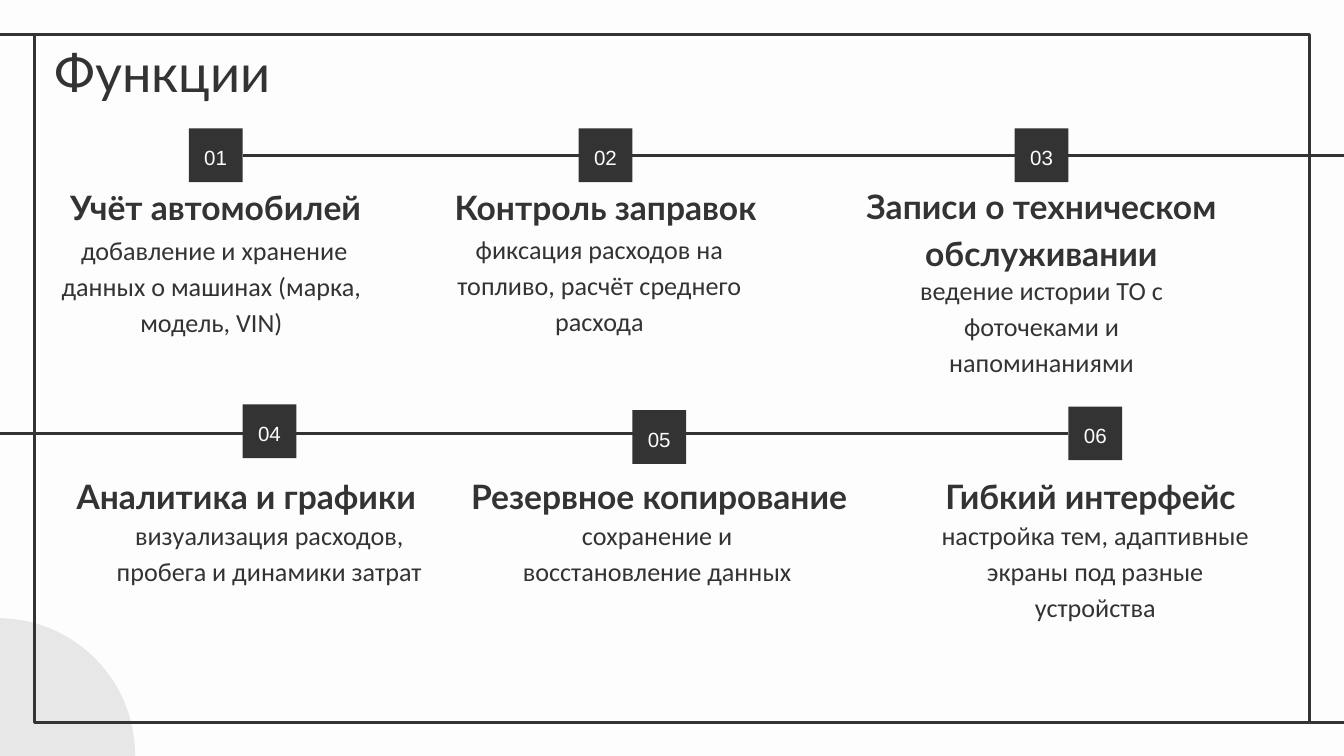
from lxml import etree
from pptx import Presentation
from pptx.dml.color import RGBColor
from pptx.enum import shapes, text
from pptx.oxml.ns import qn
from pptx.util import Inches, Pt

hues = {"paper": "FDFDFD", "ink": "333333", "disc": "E8E7E7"}
ink, paper, disc = (RGBColor.from_string(hues[k]) for k in ("ink", "paper", "disc"))

deck = Presentation()
deck.slide_width = Inches(10)
deck.slide_height = deck.slide_width * 9 // 16
unit = deck.slide_width / 100


def grid(*cells):
    return [round(c * unit) for c in cells]


def write(shape, words, font, size, hue, bold=False, anchor="TOP", lead=1.15):
    frame = shape.text_frame
    frame.text = words
    frame.word_wrap = True
    frame.auto_size = text.MSO_AUTO_SIZE.NONE
    frame.vertical_anchor = text.MSO_ANCHOR[anchor]
    frame.margin_left, frame.margin_top, frame.margin_right, frame.margin_bottom = grid(1, 1, 1, 1)
    para = frame.paragraphs[0]
    para.alignment = text.PP_ALIGN.CENTER
    para.line_spacing = lead
    para.font.name, para.font.size, para.font.bold = font, Pt(size), bold
    para.font.color.rgb = hue


slide = deck.slides.add_slide(deck.slide_layouts[5])
slide.background.fill.solid()
slide.background.fill.fore_color.rgb = paper
parts = slide.shapes

arc = parts.add_shape(shapes.MSO_SHAPE.OVAL, *grid(-10.35, 46, 20.4, 20.4))
arc.shadow.inherit = False
arc.fill.solid()
arc.fill.fore_color.rgb = disc
arc.line.fill.background()

border = parts.add_shape(shapes.MSO_SHAPE.RECTANGLE, *grid(2.54, 2.54, 94.9, 51.2))
border.shadow.inherit = False
border.fill.background()
border.line.color.rgb = ink
border.line.width = Pt(1.5)

rules = []
for start, end, row in [(2.54, 0, 2.54), (100, 97.44, 53.74), (79.5, 0, 32.25), (18.05, 100, 11.55)]:
    rule = parts.add_connector(shapes.MSO_CONNECTOR.STRAIGHT, *grid(start, row, end, row))
    rule.line.color.rgb = ink
    rule.line.width = Pt(1.5)
    etree.SubElement(rule._element.spPr, qn("a:effectLst"))
    rules.append(rule)

title = parts.title
title.left, title.top, title.width, title.height = grid(-0.22, 2, 24.6, 6.3)
write(title, "Функции", "Lato", 28, ink, lead=1)

items = [
    ("Учёт автомобилей", " добавление и хранение данных о машинах (марка, модель, VIN)",
     (14.05, 9.55), (3.44, 13.7, 25.2), (3.13, 16.1, 25.2)),
    ("Контроль заправок", "фиксация расходов на топливо, расчёт среднего расхода",
     (43.05, 9.55), (31.57, 13.7, 27), (32, 16, 25.2)),
    ("Записи о техническом обслуживании", "ведение истории ТО с фоточеками и напоминаниями",
     (75.5, 9.55), (59.54, 17.1, 35.9), (64.9, 19.05, 25.2)),
    ("Аналитика и графики", "визуализация расходов, пробега и динамики затрат",
     (18.05, 30.1), (3.13, 35.2, 30.4), (7.44, 37.3, 25.2)),
    ("Резервное копирование", "сохранение и восстановление данных",
     (47.05, 30.52), (32, 35.2, 34.1), (36.3, 37.3, 25.2)),
    ("Гибкий интерфейс ", "настройка тем, адаптивные экраны под разные устройства",
     (79.5, 30.25), (67.6, 35.2, 27.7), (67.8, 37.3, 27.4)),
]

tags = []
for num, (head, note, spot, top, low) in enumerate(items, 1):
    tag = parts.add_shape(shapes.MSO_SHAPE.RECTANGLE, *grid(*spot, 4, 4))
    tag.shadow.inherit = False
    tag.fill.solid()
    tag.fill.fore_color.rgb = ink
    tag.line.fill.background()
    write(tag, f"{num:02}", "Arial", 11, paper, anchor="MIDDLE")
    tags.append(tag)
    write(parts.add_textbox(*grid(*top, 4.2)), head, "Lato", 18, ink, True, "BOTTOM")
    write(parts.add_textbox(*grid(*low, 6.3)), note, "Calibri", 14, ink)

rules[2].begin_connect(tags[5], 1)
rules[3].begin_connect(tags[0], 3)

deck.save("out.pptx")
